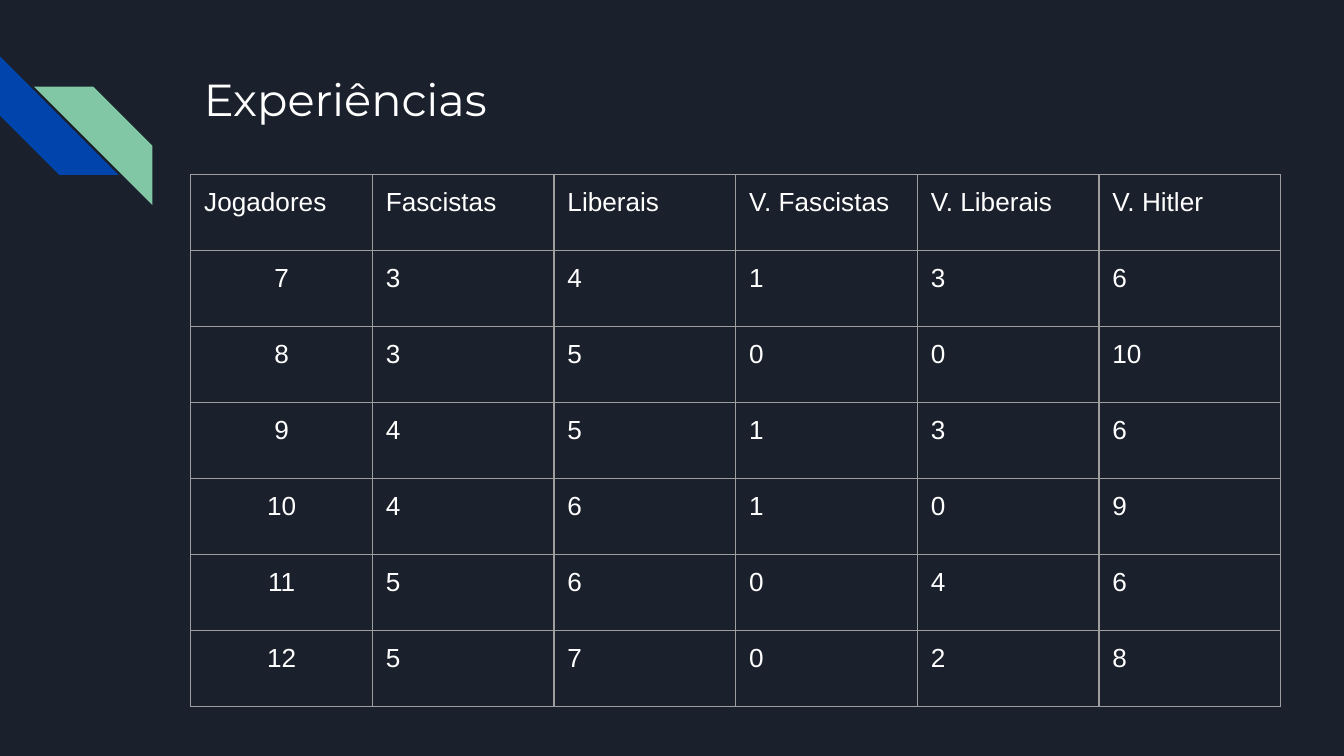
import lxml.etree
import pptx
import pptx.dml.color
import pptx.enum.shapes
import pptx.enum.text
import pptx.oxml.ns
import pptx.util

Pt = pptx.util.Pt
WHITE = "FFFFFF"
INSET = 7.2
ROWS = [
    ["Jogadores", "Fascistas", "Liberais", "V. Fascistas", "V. Liberais", "V. Hitler"],
    [7, 3, 4, 1, 3, 6],
    [8, 3, 5, 0, 0, 10],
    [9, 4, 5, 1, 3, 6],
    [10, 4, 6, 1, 0, 9],
    [11, 5, 6, 0, 4, 6],
    [12, 5, 7, 0, 2, 8],
]


def set_color(target, color):
    target.rgb = pptx.dml.color.RGBColor.from_string(color)


def set_fill(fill, color):
    fill.solid()
    set_color(fill.fore_color, color)


def set_font(paragraph, name, size):
    paragraph.font.name = name
    paragraph.font.size = Pt(size)
    set_color(paragraph.font.color, WHITE)


def set_insets(target):
    target.margin_left = target.margin_right = Pt(INSET)
    target.margin_top = target.margin_bottom = Pt(INSET)


def add_stripe(slide, left, top, size, color):
    stripe = slide.shapes.add_shape(
        pptx.enum.shapes.MSO_SHAPE.DIAGONAL_STRIPE, Pt(left), Pt(top), Pt(size), Pt(size))
    stripe.adjustments[0] = 0.5
    stripe.shadow.inherit = False
    stripe.line.fill.background()
    set_fill(stripe.fill, color)
    return stripe


def add_ornament(slide, left, top):
    size = 63.5
    blue_stripe = add_stripe(slide, left, top, size, "0145AC")
    blue_stripe.rotation = 270
    green_stripe = add_stripe(slide, left + 18.2, top + 16.2, size, "82C7A5")
    green_stripe._element.spPr.xfrm.set("flipH", "1")


def add_title(slide, left, top, width, height, text):
    title = slide.shapes.add_textbox(Pt(left), Pt(top), Pt(width), Pt(height))
    frame = title.text_frame
    frame.word_wrap = True
    set_insets(frame)
    frame.text = text
    set_font(frame.paragraphs[0], "Montserrat", 24)


def add_borders(cell, color, width):
    properties = cell._tc.get_or_add_tcPr()
    qn = pptx.oxml.ns.qn
    for side in ("lnL", "lnR", "lnT", "lnB"):
        line = lxml.etree.SubElement(properties, qn(f"a:{side}"), w=str(Pt(width)))
        fill = lxml.etree.SubElement(line, qn("a:solidFill"))
        lxml.etree.SubElement(fill, qn("a:srgbClr"), val=color)


def add_results_table(slide, left, top, width, height, rows):
    table = slide.shapes.add_table(
        len(rows), len(rows[0]), Pt(left), Pt(top), Pt(width), Pt(height)).table
    table.first_row = False
    table.horz_banding = False
    for column in table.columns:
        column.width = Pt(width / len(rows[0]))
    for row_index, values in enumerate(rows):
        table.rows[row_index].height = Pt(height / len(rows))
        for column_index, value in enumerate(values):
            cell = table.cell(row_index, column_index)
            set_insets(cell)
            add_borders(cell, "9E9E9E", 0.75)
            cell.fill.background()
            cell.text = str(value)
            paragraph = cell.text_frame.paragraphs[0]
            set_font(paragraph, "Arial", 14)
            if row_index > 0 and column_index == 0:
                paragraph.alignment = pptx.enum.text.PP_ALIGN.CENTER


def main():
    presentation = pptx.Presentation()
    presentation.slide_width = Pt(720)
    presentation.slide_height = Pt(405)
    slide = presentation.slides.add_slide(presentation.slide_layouts[6])
    set_fill(slide.background.fill, "1B212C")
    add_ornament(slide, 0, 30.2)
    add_title(slide, 102.2, 31, 554.4, 72, "Experiências")
    add_results_table(slide, 102.2, 93.5, 584, 285, ROWS)
    presentation.save("out.pptx")


if __name__ == "__main__":
    main()
